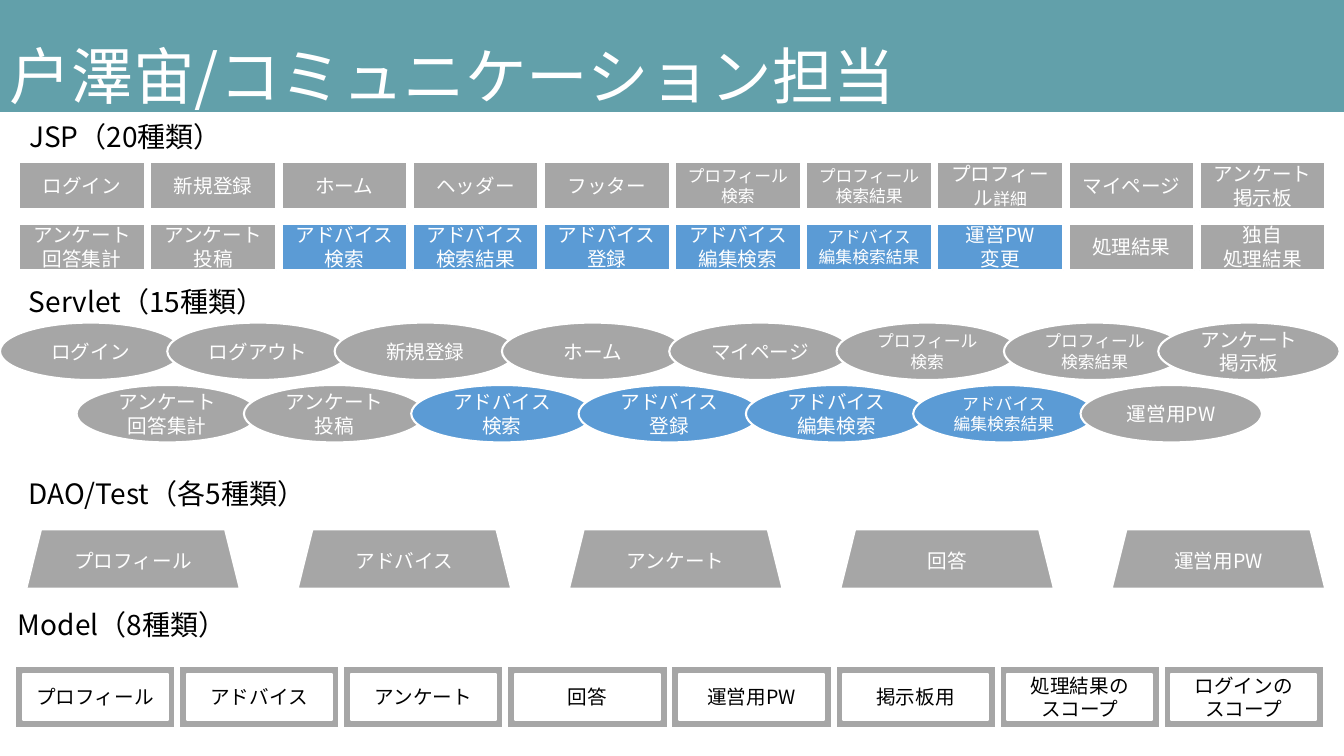
from dataclasses import dataclass
from typing import Optional

from pptx import Presentation
from pptx import util as u
from pptx.dml.color import RGBColor
from pptx.enum import shapes, text
from pptx.oxml.ns import qn

FONT = "Noto Sans CJK JP"
WHITE = RGBColor(0xFF, 0xFF, 0xFF)
BLACK = RGBColor(0x00, 0x00, 0x00)
GRAY = RGBColor(0xA6, 0xA6, 0xA6)
BLUE = RGBColor(0x5B, 0x9B, 0xD5)
TEAL = RGBColor(0x62, 0xA0, 0xAA)

SLIDE_W, SLIDE_H = u.Inches(13.333), u.Inches(7.5)
COLS = ROWS = 100  # grid that covers the slide
KIND = shapes.MSO_SHAPE


@dataclass(frozen=True)
class Label:
    text: str
    size: int = 14
    fill: RGBColor = GRAY
    small_tail: str = ""


@dataclass(frozen=True)
class Heading:
    text: str
    left: float
    top: float
    width: float


@dataclass(frozen=True)
class Band:
    """A row of equal shapes, measured in grid columns and rows."""
    kind: KIND
    left: float
    top: float
    width: float
    height: float
    pitch: float
    labels: list[Label]
    color: RGBColor = WHITE
    max_left: float = COLS


HEADINGS = [
    Heading("JSP（20種類）", 1.42, 15.2, 21.53),
    Heading("Servlet（15種類）", 1.42, 36.93, 26.93),
    Heading("DAO/Test（各5種類）", 1.42, 62.4, 31.95),
    Heading("Model（8種類）", 0.6, 79.73, 29.48),
]

BANDS = [
    # JSP
    Band(KIND.RECTANGLE, 1.42, 21.47, 9.37, 6.13, 9.76, [
        Label("ログイン"), Label("新規登録"), Label("ホーム"),
        Label("ヘッダー"), Label("フッター"),
        Label("プロフィール検索", 12), Label("プロフィール検索結果", 12),
        Label("プロフィール", small_tail="詳細"),
        Label("マイページ"), Label("アンケート掲示板"),
    ]),
    Band(KIND.RECTANGLE, 1.42, 29.6, 9.37, 6.13, 9.76, [
        Label("アンケート回答集計"), Label("アンケート投稿"),
        Label("アドバイス検索", fill=BLUE),
        Label("アドバイス検索結果", fill=BLUE),
        Label("アドバイス登録", fill=BLUE),
        Label("アドバイス編集検索", fill=BLUE),
        Label("アドバイス\n編集検索結果", 12, BLUE),
        Label("運営PW\n変更", fill=BLUE),
        Label("処理結果"), Label("独自\n処理結果"),
    ]),
    # Servlet
    Band(KIND.OVAL, 0, 42.67, 13.5, 7.6, 12.45, [
        Label("ログイン"), Label("ログアウト"), Label("新規登録"),
        Label("ホーム"), Label("マイページ"),
        Label("プロフィール検索", 12), Label("プロフィール検索結果", 12),
        Label("アンケート掲示板"),
    ], max_left=86.18),
    Band(KIND.OVAL, 5.7, 50.93, 13.5, 7.6, 12.45, [
        Label("アンケート回答集計"), Label("アンケート投稿"),
        Label("アドバイス検索", fill=BLUE),
        Label("アドバイス登録", fill=BLUE),
        Label("アドバイス編集検索", fill=BLUE),
        Label("アドバイス\n編集検索結果", 12, BLUE),
        Label("運営用PW"),
    ]),
    # DAO/Test
    Band(KIND.TRAPEZOID, 1.95, 70, 15.9, 7.87, 20.19, [
        Label("プロフィール"), Label("アドバイス"), Label("アンケート"),
        Label("回答"), Label("運営用PW"),
    ]),
    # Model
    Band(KIND.FRAME, 1.12, 88.13, 11.92, 8.13, 12.21, [
        Label("プロフィール"), Label("アドバイス"), Label("アンケート"),
        Label("回答"), Label("運営用PW"), Label("掲示板用"),
        Label("処理結果の\nスコープ"), Label("ログインの\nスコープ"),
    ], BLACK),
]


def grid(left: float, top: float, width: float, height: float) -> list[int]:
    return [round(SLIDE_W * left / COLS), round(SLIDE_H * top / ROWS),
            round(SLIDE_W * width / COLS), round(SLIDE_H * height / ROWS)]


def format_run(r, size: float, color: RGBColor) -> None:
    r.font.size = u.Pt(size)
    r.font.name = FONT
    r.font.color.rgb = color
    ea = r.font._element.makeelement(qn("a:ea"), {"typeface": FONT})
    r.font._element.find(qn("a:latin")).addnext(ea)


def write(tf, content: str, size: float, color: RGBColor,
          align: text.PP_ALIGN = text.PP_ALIGN.LEFT) -> None:
    tf.text = content
    tf.word_wrap = True
    for p in tf.paragraphs:
        p.alignment = align
        for r in p.runs:
            format_run(r, size, color)


def add_box(slide, kind: KIND, area: list[int], fill: RGBColor,
            line: Optional[RGBColor] = None):
    sp = slide.shapes.add_shape(kind, *area)
    sp.shadow.inherit = False
    sp.fill.solid()
    sp.fill.fore_color.rgb = fill
    if line is None:
        sp.line.fill.background()
    else:
        sp.line.color.rgb = line
        sp.line.width = u.Pt(1.5)
    sp.text_frame.vertical_anchor = text.MSO_ANCHOR.MIDDLE
    return sp


def add_band(slide, band: Band) -> None:
    for i, label in enumerate(band.labels):
        left = min(band.left + i * band.pitch, band.max_left)
        area = grid(left, band.top, band.width, band.height)
        sp = add_box(slide, band.kind, area, label.fill, WHITE)
        tf = sp.text_frame
        write(tf, label.text, label.size, band.color, text.PP_ALIGN.CENTER)
        if label.small_tail:
            r = tf.paragraphs[-1].add_run()
            r.text = label.small_tail
            format_run(r, 12, band.color)


def add_heading(slide, heading: Heading) -> None:
    area = grid(heading.left, heading.top, heading.width, 5.87)
    tf = slide.shapes.add_textbox(*area).text_frame
    write(tf, heading.text, 20, BLACK)


def add_title(slide) -> None:
    sp = add_box(slide, KIND.RECTANGLE, grid(0, 0, COLS, 14.8), TEAL)
    write(sp.text_frame, "戸澤宙/コミュニケーション担当", 44, WHITE)
    sp.text_frame.paragraphs[0].line_spacing = 1.5


def main() -> None:
    prs = Presentation()
    prs.slide_width, prs.slide_height = SLIDE_W, SLIDE_H
    slide = prs.slides.add_slide(prs.slide_layouts[6])
    for heading in HEADINGS:
        add_heading(slide, heading)
    for band in BANDS:
        add_band(slide, band)
    add_title(slide)
    prs.save("out.pptx")


if __name__ == "__main__":
    main()
